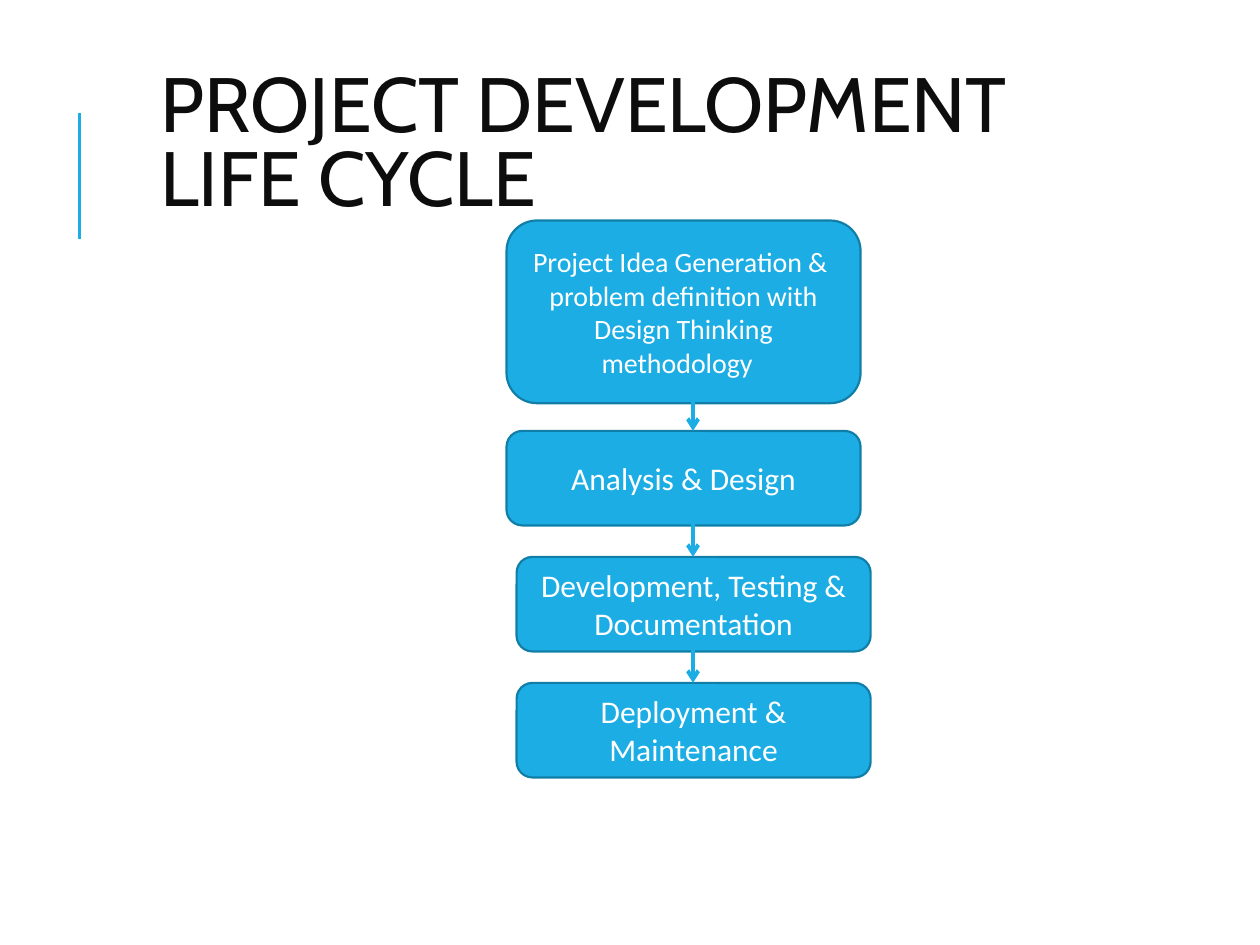
from lxml import etree
from pptx import Presentation
from pptx.dml.color import RGBColor
from pptx.enum.shapes import MSO_CONNECTOR as CONNECTOR, MSO_SHAPE as SHAPE
from pptx.enum.text import MSO_ANCHOR as ANCHOR, MSO_AUTO_SIZE as AUTO_SIZE, PP_ALIGN as ALIGN
from pptx.oxml.ns import qn
from pptx.util import Inches, Pt

BLUE = RGBColor(0x1C, 0xAD, 0xE4)
DARK_BLUE = RGBColor(0x11, 0x7E, 0xA7)
WHITE = RGBColor(0xFF, 0xFF, 0xFF)
NEAR_BLACK = RGBColor(0x0D, 0x0D, 0x0D)


def write_text(shape, text, size, font="Calibri", color=WHITE, align=ALIGN.CENTER, spacing=1.0):
    frame = shape.text_frame
    frame.text = text
    frame.word_wrap = True
    frame.auto_size = AUTO_SIZE.NONE
    frame.vertical_anchor = ANCHOR.MIDDLE
    paragraph = frame.paragraphs[0]
    paragraph.alignment = align
    paragraph.line_spacing = spacing
    run_font = paragraph.runs[0].font
    run_font.name = font
    run_font.size = Pt(size)
    run_font.color.rgb = color


def add_line(slide, x, top, bottom, width, arrow=False):
    connector = slide.shapes.add_connector(
        CONNECTOR.STRAIGHT, Inches(x), Inches(top), Inches(x), Inches(bottom))
    connector.line.color.rgb = BLUE
    connector.line.width = Pt(width)
    if arrow:
        etree.SubElement(connector.line._get_or_add_ln(), qn("a:tailEnd"), type="arrow")
    etree.SubElement(connector._element.spPr, qn("a:effectLst"))


presentation = Presentation()
presentation.slide_width = Inches(10)
presentation.slide_height = Inches(7.5)
slide = presentation.slides.add_slide(presentation.slide_layouts[5])

add_line(slide, 0.63, 0.9, 1.9, 1.5)

title = slide.shapes.title
title.left, title.top = Inches(1.17), Inches(0.35)
title.width, title.height = Inches(7.97), Inches(1.64)
write_text(title, "PROJECT DEVELOPMENT LIFE CYCLE", 44, font="Cabin",
           color=NEAR_BLACK, align=ALIGN.LEFT, spacing=0.8)

stages = [
    ("Project Idea Generation &  problem definition with Design Thinking methodology  ",
     4.02, 1.75, 1.45, 16),
    ("Analysis & Design", 4.02, 3.42, 0.75, 18),
    ("Development, Testing & Documentation", 4.1, 4.42, 0.75, 18),
    ("Deployment & Maintenance", 4.1, 5.42, 0.75, 18),
]
for text, left, top, height, size in stages:
    box = slide.shapes.add_shape(
        SHAPE.ROUNDED_RECTANGLE, Inches(left), Inches(top), Inches(2.81), Inches(height))
    box.shadow.inherit = False
    box.fill.solid()
    box.fill.fore_color.rgb = BLUE
    box.line.color.rgb = DARK_BLUE
    box.line.width = Pt(1.25)
    write_text(box, text, size)

for text, left, top, height, size in stages[1:]:
    add_line(slide, 5.5, top - 0.34, top, 2.25, arrow=True)

presentation.save("out.pptx")
